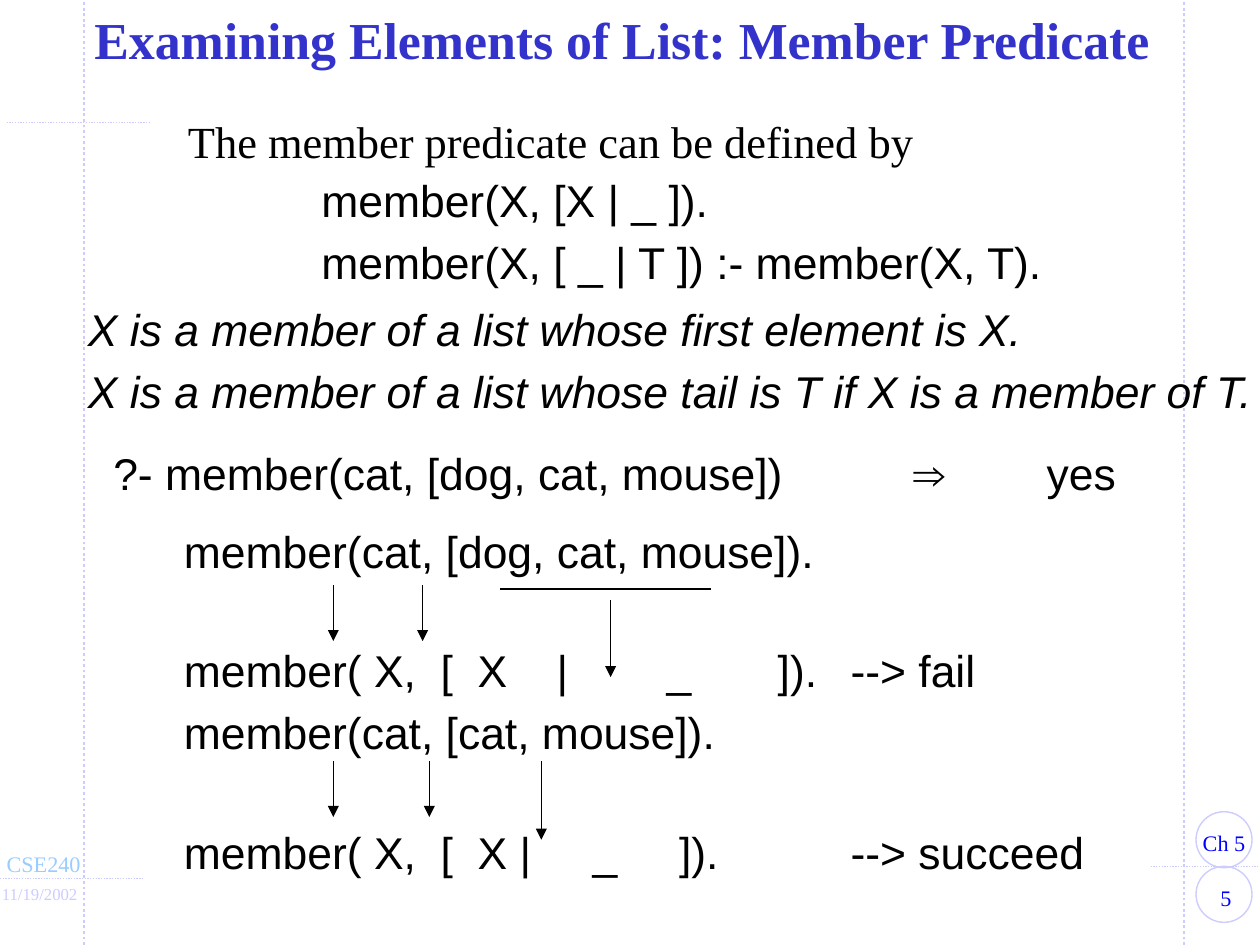
from lxml.etree import SubElement
from pptx import Presentation
from pptx.dml.color import RGBColor
from pptx.enum.dml import MSO_LINE
from pptx.enum.shapes import MSO_CONNECTOR, MSO_SHAPE
from pptx.enum.text import MSO_ANCHOR, PP_ALIGN
from pptx.oxml.ns import qn
from pptx.util import Inches, Pt

CELL = 0.1
COLUMNS, ROWS = 94.5, 70.9
LINE_SPACING = 1.15
LINE_HEIGHT = 31.6


def cells(count):
    return Inches(count * CELL)


def color(hex_string):
    return RGBColor.from_string(hex_string)


def write(paragraph, text, font="Arial", size=24, fill="000000", bold=False,
          italic=False, align=PP_ALIGN.LEFT, spacing=1.0, before=0, tabs=()):
    paragraph.alignment = align
    paragraph.line_spacing = spacing
    paragraph.space_before = Pt(before)
    if tabs:
        tab_list = SubElement(paragraph._p.get_or_add_pPr(), qn("a:tabLst"))
        for column in tabs:
            SubElement(tab_list, qn("a:tab"), pos=str(cells(column)), algn="l")
    run = paragraph.add_run()
    run.text = text
    run.font.name = font
    run.font.size = Pt(size)
    run.font.bold = bold
    run.font.italic = italic
    run.font.color.rgb = color(fill)


class LectureSlide:
    """Draws lecture elements on a slide, measured in grid cells."""

    serif = "Times New Roman"
    frame = "CCCCFF"
    ink = "000000"

    def __init__(self, presentation):
        self.slide = presentation.slides.add_slide(presentation.slide_layouts[6])

    def text(self, left, top, width, height, lines, wrap=True,
             anchor=MSO_ANCHOR.TOP, **style):
        shape = self.slide.shapes.add_textbox(*map(cells, (left, top, width, height)))
        text_frame = shape.text_frame
        text_frame.word_wrap = wrap
        text_frame.vertical_anchor = anchor
        text_frame.margin_left = text_frame.margin_right = 0
        text_frame.margin_top = text_frame.margin_bottom = 0
        for index, (line, extra) in enumerate(lines):
            paragraph = text_frame.add_paragraph() if index else text_frame.paragraphs[0]
            write(paragraph, line, **{**style, **extra})

    def label(self, left, top, width, text, **style):
        self.text(left, top, width, 2, [(text, {})], font=self.serif, **style)

    def line(self, start, end, fill=ink, width=0.75, dotted=False, arrow=False):
        connector = self.slide.shapes.add_connector(
            MSO_CONNECTOR.STRAIGHT, *map(cells, start + end))
        connector.line.color.rgb = color(fill)
        connector.line.width = Pt(width)
        if dotted:
            connector.line.dash_style = MSO_LINE.ROUND_DOT
        if arrow:
            SubElement(connector.line._get_or_add_ln(), qn("a:tailEnd"), type="triangle")
        SubElement(connector._element.spPr, qn("a:effectLst"))

    def guide(self, start, end, width=0.75):
        self.line(start, end, self.frame, width, dotted=True)

    def arrow(self, column, top, length):
        self.line((column, top), (column, top + length), arrow=True)

    def circle(self, left, top, diameter):
        shape = self.slide.shapes.add_shape(
            MSO_SHAPE.OVAL, *map(cells, (left, top, diameter, diameter)))
        shape.shadow.inherit = False
        shape.fill.background()
        shape.line.color.rgb = color(self.frame)
        shape.line.width = Pt(0.75)


def draw_frame(page):
    for column in (6.3, 88.8):
        page.guide((column, ROWS), (column, 0), 1.5)
    for left, right, row in ((0, 10.8, 65.9), (86.3, COLUMNS, 65), (0.5, 11.3, 9.2)):
        page.guide((left, row), (right, row))
    for top, text, offset in ((60.9, "Ch 5", 0), (65, "5", 0.15)):
        page.circle(89.7, top, 4.2)
        page.label(89.7 + offset, top + 1.35, 4.2, text, size=12, fill="0000FF",
                   align=PP_ALIGN.CENTER)
    page.label(0.5, 63.8, 6, "CSE240", size=12, fill="99CCFF", wrap=False)
    page.label(0.15, 66.3, 6, "11/19/2002", size=9, fill=page.frame, wrap=False)


def draw_content(page):
    page.text(0, 0.8, 93.3, 5, [("Examining Elements of List: Member Predicate", {})],
              anchor=MSO_ANCHOR.MIDDLE, font=page.serif, size=28, fill="3333CC",
              bold=True, align=PP_ALIGN.CENTER, spacing=0.85)
    page.text(14.1, 8, 79, 4.4, [("The member predicate can be defined by", {})],
              font=page.serif, spacing=LINE_SPACING)
    page.text(24.1, 12.4, 69, 8.8, [
        ("member(X, [X | _ ]).", {}),
        ("member(X, [ _ | T ]) :- member(X, T).", {}),
    ], spacing=LINE_SPACING)
    page.text(6.6, 22.1, 87.9, 8.8, [
        ("X is a member of a list whose first element is X.", {}),
        ("X is a member of a list whose tail is T if X is a member of T.", {}),
    ], wrap=False, italic=True, spacing=LINE_SPACING)
    page.text(8.5, 32.9, 80, 4.4, [("?- member(cat, [dog, cat, mouse])\t⇒\tyes", {})],
              spacing=LINE_SPACING, tabs=(60, 70))
    matched = {"before": LINE_HEIGHT, "tabs": (50,)}
    page.text(13.8, 38.7, 80, 26.3, [
        ("member(cat, [dog, cat, mouse]).", {}),
        ("member( X,  [  X    |        _       ]).\t--> fail", matched),
        ("member(cat, [cat, mouse]).", {}),
        ("member( X,  [  X |     _     ]).\t--> succeed", matched),
    ], spacing=LINE_SPACING)
    page.line((37.5, 44.2), (53.3, 44.2))
    for column, top, length in ((25, 43.9, 4.2), (31.7, 43.9, 4.2), (45.8, 45, 5.8),
                                (25, 57.1, 4.2), (32.2, 57.1, 4.2), (40.6, 57.1, 5.9)):
        page.arrow(column, top, length)


def main():
    presentation = Presentation()
    presentation.slide_width = cells(COLUMNS)
    presentation.slide_height = cells(ROWS)
    page = LectureSlide(presentation)
    draw_frame(page)
    draw_content(page)
    presentation.save("out.pptx")


if __name__ == "__main__":
    main()
